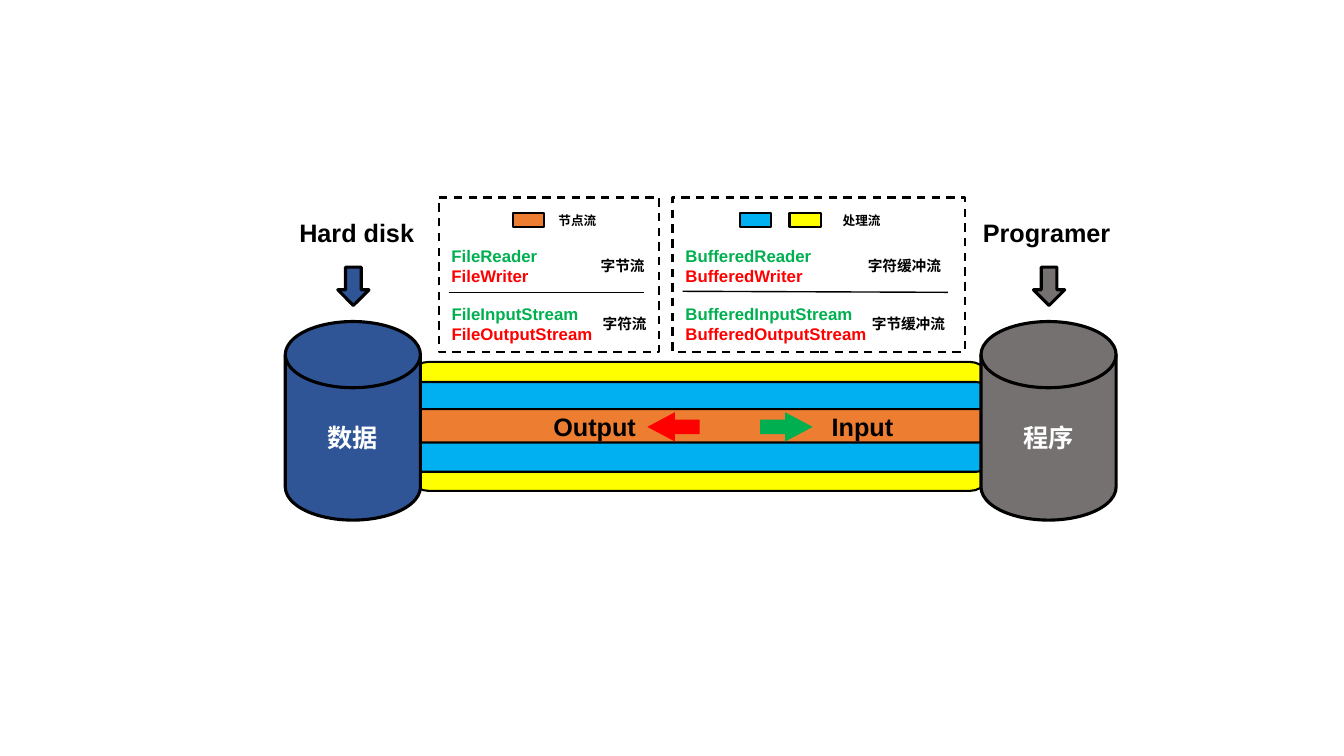
from lxml.etree import SubElement
from pptx import Presentation
from pptx.dml.color import RGBColor
from pptx.enum.dml import MSO_LINE
from pptx.enum.shapes import MSO_CONNECTOR, MSO_SHAPE
from pptx.enum.text import MSO_ANCHOR, MSO_AUTO_SIZE, PP_ALIGN
from pptx.oxml.ns import qn
from pptx.util import Emu, Pt

PX = 9144
BLACK, WHITE, YELLOW, CYAN, ORANGE = "000000", "FFFFFF", "FFFF00", "00B0F0", "ED7D31"
NAVY, GRAY, GREEN, RED = "2F5597", "767171", "00B050", "FF0000"
CJK = "Noto Sans CJK SC"

deck = Presentation()
deck.slide_width, deck.slide_height = Emu(1333 * PX), Emu(750 * PX)
slide = deck.slides.add_slide(deck.slide_layouts[6])


def add_block(kind, box, fill=None, line_width=1.5):
    block = slide.shapes.add_shape(kind, *[Emu(n * PX) for n in box])
    block.shadow.inherit = False
    if fill:
        block.fill.solid()
        block.fill.fore_color.rgb = RGBColor.from_string(fill)
    else:
        block.fill.background()
    if line_width:
        block.line.color.rgb = RGBColor.from_string(BLACK)
        block.line.width = Pt(line_width)
    else:
        block.line.fill.background()
    return block


def write(frame, text, size, colors, font="Arial"):
    frame.text = text
    for paragraph, color in zip(frame.paragraphs, colors):
        for run in paragraph.runs:
            run.font.size = Pt(size)
            run.font.bold = True
            run.font.name = font
            run.font.color.rgb = RGBColor.from_string(color)
            SubElement(run.font._element, qn("a:ea"), typeface=CJK)


for top, height, color in [(359, 128, YELLOW), (379, 89, CYAN), (406, 33, ORANGE)]:
    add_block(MSO_SHAPE.ROUNDED_RECTANGLE, (404, top, 579, height), color)

for left, color, store in [(283, NAVY, "数据"), (973, GRAY, "程序")]:
    disk = add_block(MSO_SHAPE.FLOWCHART_MAGNETIC_DISK, (left, 319, 134, 197), color, 2.25)
    write(disk.text_frame, store, 18, [WHITE])
    disk.text_frame.vertical_anchor = MSO_ANCHOR.MIDDLE
    disk.text_frame.paragraphs[0].alignment = PP_ALIGN.CENTER
    add_block(MSO_SHAPE.DOWN_ARROW, (left + 52, 265, 31, 38), color, 2.25)

for left, color, angle in [(754, GREEN, 0), (642, RED, 180)]:
    direction = add_block(MSO_SHAPE.RIGHT_ARROW, (left, 409, 52, 29), color, 0)
    direction.adjustments[1] = 0.943
    direction.rotation = angle

for left, color in [(509, ORANGE), (734, CYAN), (783, YELLOW)]:
    add_block(MSO_SHAPE.RECTANGLE, (left, 211, 31, 14), color)

for left, width in [(435, 219), (667, 290)]:
    legend = add_block(MSO_SHAPE.RECTANGLE, (left, 196, width, 153))
    legend.line.dash_style = MSO_LINE.DASH

PAIR = [GREEN, RED]
labels = [
    ("Hard disk", 287, 211, 134, 40, 18, [BLACK], "Arial"),
    ("Programer", 965, 211, 149, 40, 18, [BLACK], "Arial"),
    ("Output", 539, 403, 103, 40, 18, [BLACK], "Arial"),
    ("Input", 815, 403, 82, 40, 18, [BLACK], "Arial"),
    ("节点流", 544, 206, 58, 25, 9, [BLACK], "Arial"),
    ("处理流", 826, 206, 58, 25, 9, [BLACK], "Arial"),
    ("FileReader\nFileWriter", 438, 239, 106, 50, 12, PAIR, "Arial"),
    ("FileInputStream\nFileOutputStream", 438, 296, 161, 50, 12, PAIR, "Arial"),
    ("BufferedReader\nBufferedWriter", 670, 239, 146, 50, 12, PAIR, "Arial"),
    ("BufferedInputStream\nBufferedOutputStream", 670, 296, 201, 50, 12, PAIR, "Arial"),
    ("字节流", 586, 250, 66, 28, 10.5, [BLACK], CJK),
    ("字符流", 588, 307, 66, 28, 10.5, [BLACK], CJK),
    ("字符缓冲流", 851, 250, 94, 28, 10.5, [BLACK], CJK),
    ("字节缓冲流", 855, 307, 94, 28, 10.5, [BLACK], CJK),
]
for text, left, top, width, height, size, colors, font in labels:
    label = slide.shapes.add_textbox(*[Emu(n * PX) for n in (left, top, width, height)])
    write(label.text_frame, text, size, colors, font)
    label.text_frame.word_wrap = False
    label.text_frame.auto_size = MSO_AUTO_SIZE.SHAPE_TO_FIT_TEXT

for ends in [(445, 290, 639, 290), (677, 289, 940, 290)]:
    divider = slide.shapes.add_connector(MSO_CONNECTOR.STRAIGHT, *[Emu(n * PX) for n in ends])
    divider.line.color.rgb = RGBColor.from_string(BLACK)
    divider.line.width = Pt(1)
    SubElement(divider._element.spPr, qn("a:effectLst"))

deck.save("out.pptx")
